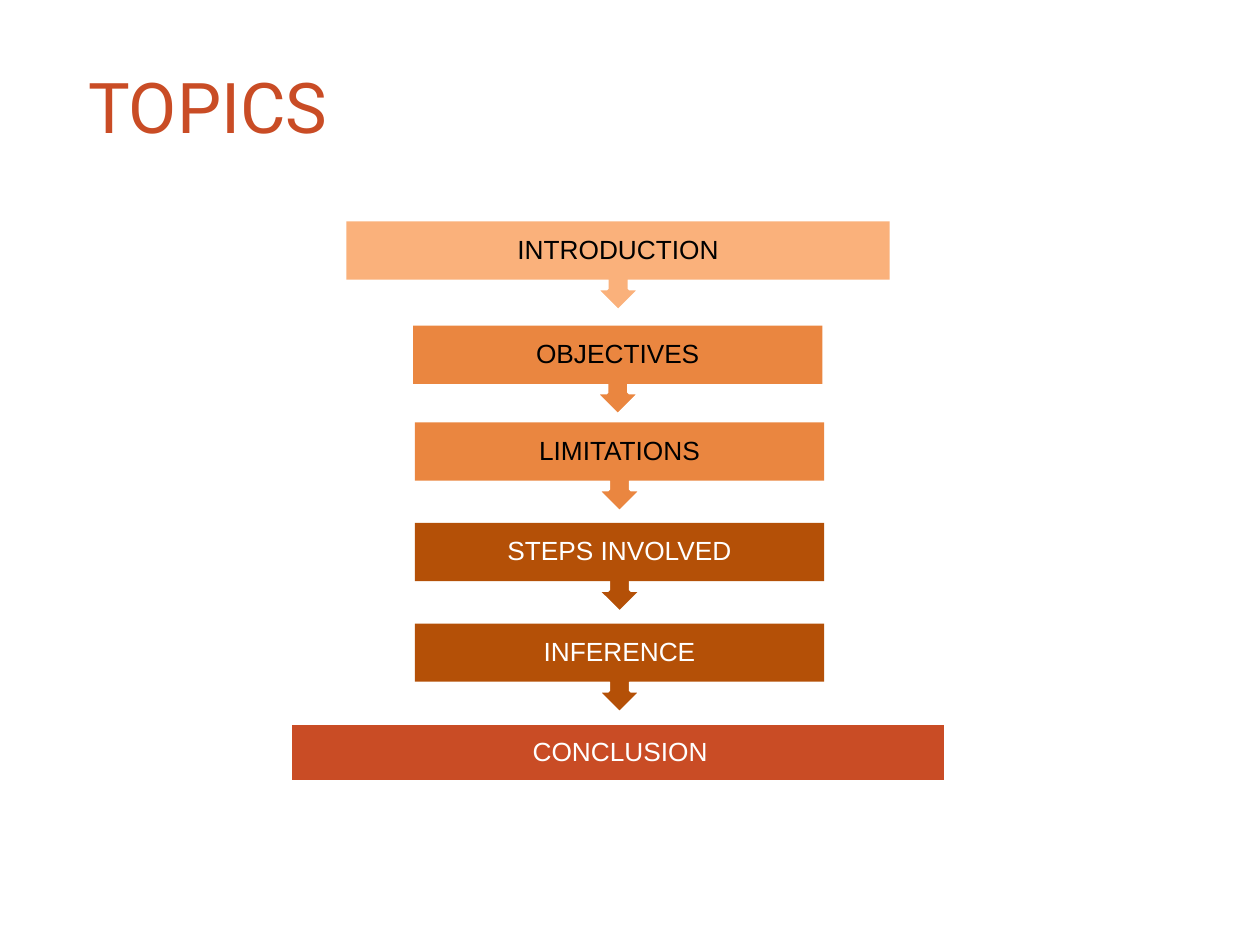
import pptx
import pptx.util
import pptx.dml.color
import pptx.enum.shapes
import pptx.enum.text

Pt = pptx.util.Pt
SHAPE = pptx.enum.shapes.MSO_SHAPE
ANCHOR = pptx.enum.text.MSO_ANCHOR
ALIGN = pptx.enum.text.PP_ALIGN

COLOURS = {
    "peach": "FAB17B",
    "orange": "EA8640",
    "brown": "B45007",
    "red": "C94C25",
    "black": "000000",
    "white": "FFFFFF",
}

TITLE = "TOPICS"
# label, left, top, width, fill, text colour
STEPS = [
    ("INTRODUCTION", 198, 126.5, 310.4, "peach", "black"),
    ("OBJECTIVES", 236, 186, 234, "orange", "black"),
    ("LIMITATIONS", 237, 241.4, 234, "orange", "black"),
    ("STEPS INVOLVED", 237, 298.8, 234, "brown", "white"),
    ("INFERENCE", 237, 356.3, 234, "brown", "white"),
]
CONCLUSION = ("CONCLUSION", 165.9, 413.4, 374.4, "red", "white")

BAR_HEIGHT = 33.3
CALLOUT_HEIGHT = 51.2
LABEL_INSET = 8.5


def colour(name):
    return pptx.dml.color.RGBColor.from_string(COLOURS[name])


def add_filled(page, kind, left, top, width, height, fill, outlined):
    shape = page.shapes.add_shape(kind, Pt(left), Pt(top), Pt(width), Pt(height))
    shape.shadow.inherit = False
    shape.fill.solid()
    shape.fill.fore_color.rgb = colour(fill)
    if outlined:
        shape.line.color.rgb = colour("white")
        shape.line.width = Pt(2)
    else:
        shape.line.fill.background()
    return shape


def set_text(shape, text, font, size, ink, align, margins):
    """Write one line, centred vertically; margins are left, top, right, bottom."""
    frame = shape.text_frame
    frame.word_wrap = True
    frame.vertical_anchor = ANCHOR.MIDDLE
    (frame.margin_left, frame.margin_top,
     frame.margin_right, frame.margin_bottom) = [Pt(m) for m in margins]
    para = frame.paragraphs[0]
    para.alignment = align
    span = para.add_run()
    span.text = text
    span.font.name = font
    span.font.size = Pt(size)
    span.font.color.rgb = colour(ink)
    return para


def add_label(page, text, left, top, width, height, fill, ink):
    box = add_filled(page, SHAPE.RECTANGLE, left, top, width, height, fill, False)
    para = set_text(box, text, "Arial", 15, ink, ALIGN.CENTER, [LABEL_INSET] * 4)
    para.line_spacing = 0.9


def main():
    deck = pptx.Presentation()
    deck.slide_width, deck.slide_height = Pt(720), Pt(540)
    page = deck.slides.add_slide(deck.slide_layouts[6])

    title = page.shapes.add_textbox(Pt(36), Pt(28.8), Pt(384), Pt(62.6))
    set_text(title, TITLE, "Roboto", 40, "red", ALIGN.LEFT, (14.4, 3.6, 0, 3.6))

    for text, left, top, width, fill, ink in STEPS:
        callout = add_filled(page, SHAPE.UP_ARROW_CALLOUT, left, top, width,
                             CALLOUT_HEIGHT, fill, True)
        callout.rotation = 180
        add_label(page, text, left, top, width, BAR_HEIGHT, fill, ink)

    text, left, top, width, fill, ink = CONCLUSION
    add_filled(page, SHAPE.RECTANGLE, left, top, width, BAR_HEIGHT, fill, True)
    add_label(page, text, left + LABEL_INSET, top + 7.8, 360, 18, fill, ink)

    deck.save("out.pptx")


if __name__ == "__main__":
    main()
